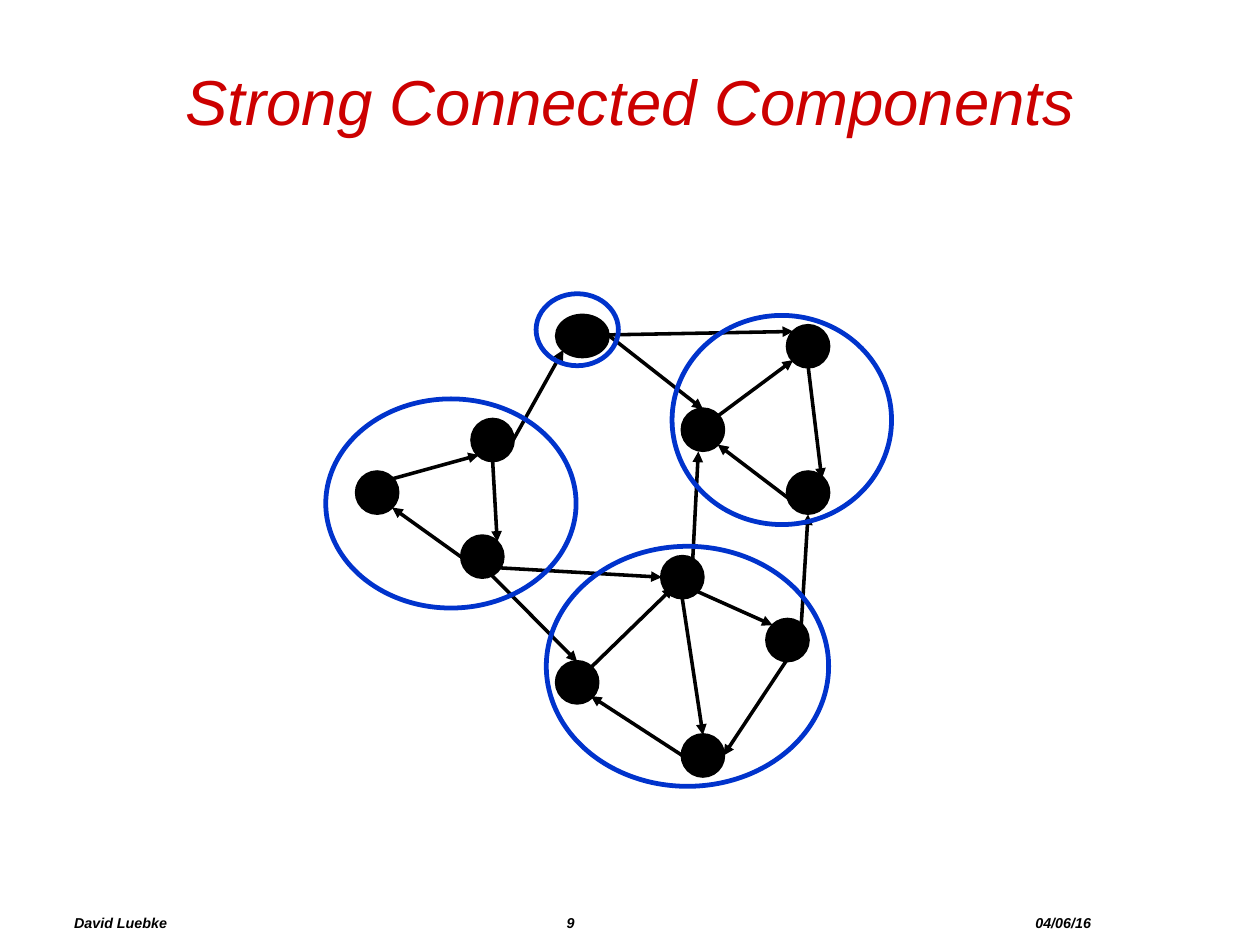
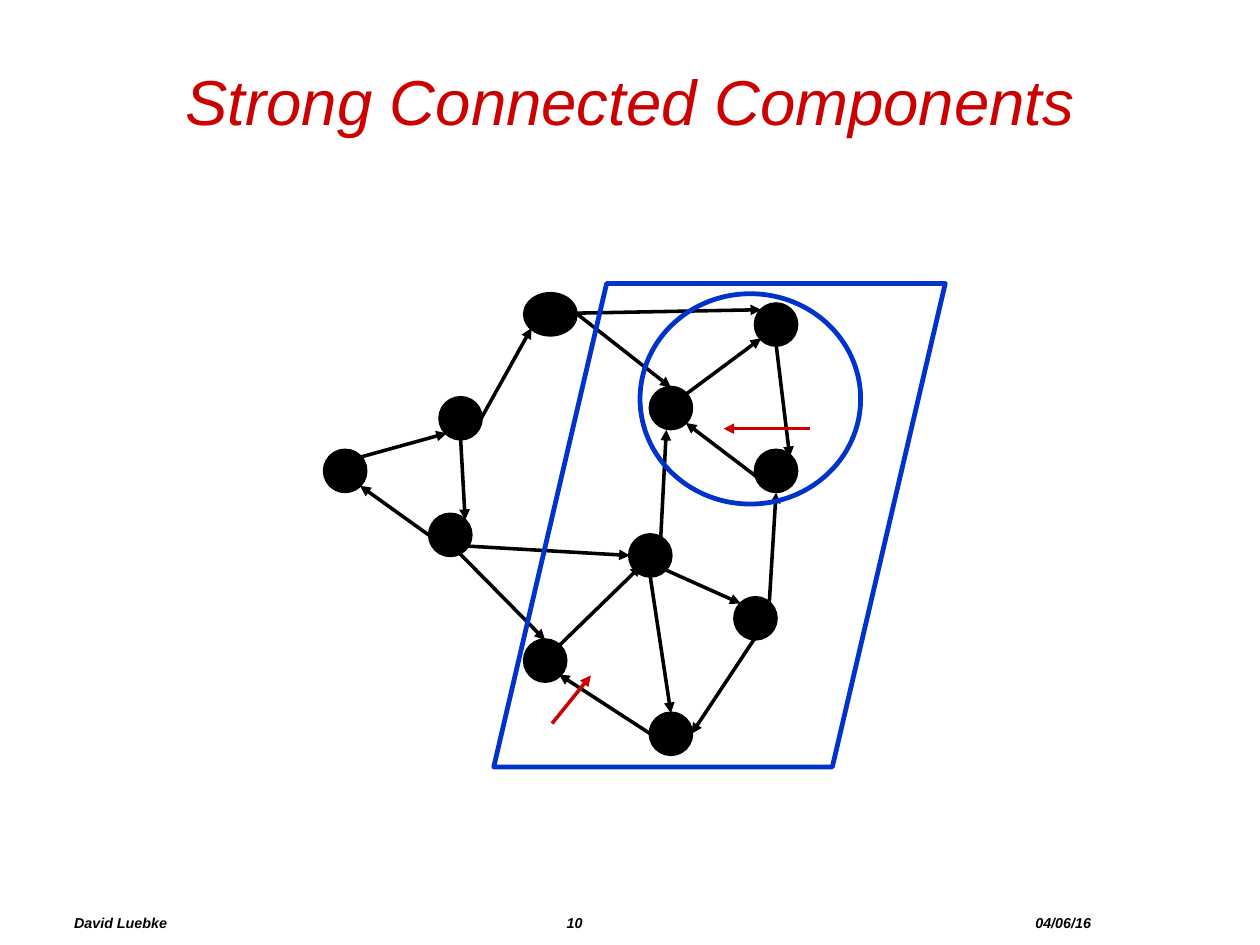
from typing import NamedTuple

from lxml.etree import SubElement
from pptx import Presentation
from pptx.dml.color import RGBColor
from pptx.enum.shapes import MSO_CONNECTOR, MSO_SHAPE
from pptx.enum.text import MSO_ANCHOR, MSO_AUTO_SIZE, PP_ALIGN
from pptx.oxml.ns import qn
from pptx.slide import Slide
from pptx.text.text import TextFrame
from pptx.util import Cm, Emu, Pt

PX = 9144  # 100 px to the inch
PAGE_WIDTH, PAGE_HEIGHT = Cm(28), Cm(21)
COLORS = {"title": "CC0000", "graph": "000000", "outline": "0033CC", "pointer": "CC0000"}
FONT = "Arial"
TITLE = "Strong Connected Components"
AUTHOR, DATE = "David Luebke", "04/06/16"
FOOTER_TABS = (431, 841)
EDGE_WIDTH, OUTLINE_WIDTH = 2.25, 3


class Box(NamedTuple):
    left: int
    top: int
    width: int = 36
    height: int = 36


class Arrow(NamedTuple):
    x1: int
    y1: int
    x2: int
    y2: int
    color: str = "graph"


class Outline(NamedTuple):
    box: Box
    kind: MSO_SHAPE = MSO_SHAPE.OVAL


class Page(NamedTuple):
    number: int
    shift_x: int
    shift_y: int
    outlines: list[Outline]
    pointers: list[Arrow]


TITLE_BOX = Box(55, 28, 992, 119)
FOOTER_BOX = Box(55, 789, 992, 37)

NODES = [
    Box(312, 413), Box(413, 367), Box(404, 469),
    Box(487, 276, 45),
    Box(597, 358), Box(689, 285), Box(689, 413),
    Box(579, 487), Box(671, 542), Box(597, 643), Box(487, 579),
]

EDGES = [
    # left component
    Arrow(343, 419, 419, 398), Arrow(431, 403, 435, 474), Arrow(403, 487, 343, 444),
    # upper right component
    Arrow(628, 364, 694, 315), Arrow(707, 320, 719, 419), Arrow(707, 449, 628, 389),
    # lower component
    Arrow(609, 517, 676, 547), Arrow(688, 578, 633, 661), Arrow(597, 524, 615, 643),
    Arrow(597, 661, 517, 609), Arrow(517, 584, 589, 514),
    # between components
    Arrow(449, 385, 493, 306), Arrow(532, 293, 694, 290), Arrow(532, 293, 615, 358),
    Arrow(701, 547, 707, 450), Arrow(606, 491, 611, 395),
    Arrow(423, 496, 505, 579), Arrow(423, 496, 579, 505),
]

PAGES = [
    Page(9, 0, 0, [
        Outline(Box(285, 349, 219, 183)),
        Outline(Box(478, 478, 247, 210)),
        Outline(Box(588, 276, 192, 183)),
        Outline(Box(469, 257, 72, 63)),
    ], []),
    Page(10, -28, -19, [
        Outline(Box(560, 257, 193, 184)),
        Outline(Box(432, 248, 395, 423), MSO_SHAPE.PARALLELOGRAM),
    ], [
        Arrow(709, 375, 633, 375, "pointer"),
        Arrow(483, 633, 517, 591, "pointer"),
    ]),
]


def rgb(name: str) -> RGBColor:
    return RGBColor.from_string(COLORS[name])


def emu(*lengths: int) -> list[Emu]:
    return [Emu(length * PX) for length in lengths]


def write_text(frame: TextFrame, text: str, *, size: int, color: str,
               bold: bool = False, align: PP_ALIGN = PP_ALIGN.LEFT) -> None:
    """Fill a frame with one italic, vertically centred paragraph."""
    frame.word_wrap = True
    frame.auto_size = MSO_AUTO_SIZE.NONE
    frame.vertical_anchor = MSO_ANCHOR.MIDDLE
    para = frame.paragraphs[0]
    para.alignment = align
    span = para.add_run()
    span.text = text
    span.font.name = FONT
    span.font.size = Pt(size)
    span.font.bold = bold
    span.font.italic = True
    span.font.color.rgb = rgb(color)


def add_title(slide: Slide) -> None:
    title = slide.shapes.title
    title.left, title.top, title.width, title.height = emu(*TITLE_BOX)
    write_text(title.text_frame, TITLE, size=40, color="title", align=PP_ALIGN.CENTER)


def add_footer(slide: Slide, number: int) -> None:
    frame = slide.shapes.add_textbox(*emu(*FOOTER_BOX)).text_frame
    write_text(frame, f"{AUTHOR}\t{number}\t{DATE}", size=9, color="graph", bold=True)
    tab_list = SubElement(frame.paragraphs[0]._p.get_or_add_pPr(), qn("a:tabLst"))
    for position in FOOTER_TABS:
        SubElement(tab_list, qn("a:tab"), pos=str(position * PX), algn="l")


def add_figure(slide: Slide, kind: MSO_SHAPE, box: Box, *, color: str,
               line_width: float, filled: bool) -> None:
    figure = slide.shapes.add_shape(kind, *emu(*box))
    figure.shadow.inherit = False
    figure.line.color.rgb = rgb(color)
    figure.line.width = Pt(line_width)
    if filled:
        figure.fill.solid()
        figure.fill.fore_color.rgb = rgb(color)
    else:
        figure.fill.background()


def add_arrow(slide: Slide, arrow: Arrow) -> None:
    ends = emu(arrow.x1, arrow.y1, arrow.x2, arrow.y2)
    connector = slide.shapes.add_connector(MSO_CONNECTOR.STRAIGHT, *ends)
    connector.line.color.rgb = rgb(arrow.color)
    connector.line.width = Pt(EDGE_WIDTH)
    properties = connector.element.spPr
    SubElement(properties.find(qn("a:ln")), qn("a:tailEnd"), type="triangle")
    SubElement(properties, qn("a:effectLst"))


def add_graph(slide: Slide, shift_x: int, shift_y: int) -> None:
    for node in NODES:
        box = node._replace(left=node.left + shift_x, top=node.top + shift_y)
        add_figure(slide, MSO_SHAPE.OVAL, box, color="graph",
                   line_width=EDGE_WIDTH, filled=True)
    for edge in EDGES:
        add_arrow(slide, Arrow(edge.x1 + shift_x, edge.y1 + shift_y,
                               edge.x2 + shift_x, edge.y2 + shift_y))


def main() -> None:
    deck = Presentation()
    deck.slide_width, deck.slide_height = PAGE_WIDTH, PAGE_HEIGHT
    title_only = deck.slide_layouts[5]
    for page in PAGES:
        slide = deck.slides.add_slide(title_only)
        add_title(slide)
        add_footer(slide, page.number)
        add_graph(slide, page.shift_x, page.shift_y)
        for pointer in page.pointers:
            add_arrow(slide, pointer)
        for outline in page.outlines:
            add_figure(slide, outline.kind, outline.box, color="outline",
                       line_width=OUTLINE_WIDTH, filled=False)
    deck.save("out.pptx")


if __name__ == "__main__":
    main()
